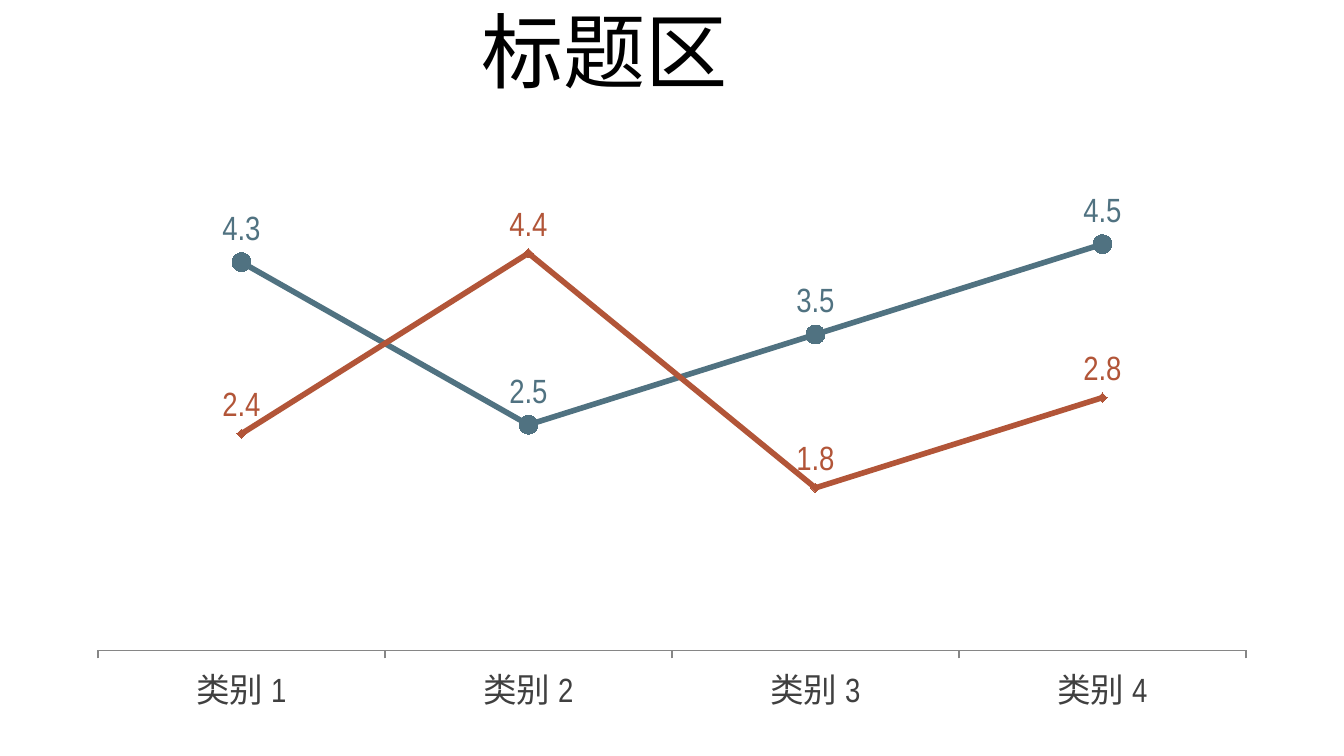
from dataclasses import dataclass

from lxml import etree
from pptx import Presentation
from pptx.chart.data import CategoryChartData
from pptx.dml.color import RGBColor as Rgb
from pptx.enum.chart import XL_CHART_TYPE as Kind
from pptx.enum.chart import XL_LABEL_POSITION as Pos
from pptx.enum.chart import XL_MARKER_STYLE as Mark
from pptx.enum.chart import XL_TICK_MARK as Tick
from pptx.enum.text import MSO_ANCHOR as Anchor
from pptx.enum.text import PP_ALIGN as Align
from pptx.oxml.ns import qn
from pptx.util import Cm, Pt


@dataclass(frozen=True)
class Theme:
    face: str = "Arial Narrow"
    title: int = 44
    label: int = 18
    black: str = "000000"
    grey: str = "404040"
    axis: str = "868686"
    blue: str = "507281"
    rust: str = "B25538"


class Deck:
    def __init__(self, theme):
        self.theme = theme
        self.prs = Presentation()
        self.prs.slide_width, self.prs.slide_height = Cm(25.4), Cm(14.29)
        self.slide = self.prs.slides.add_slide(self.prs.slide_layouts[6])

    def style(self, font, size, color):
        font.name, font.size = self.theme.face, Pt(size)
        font.color.rgb = Rgb.from_string(color)

    def title(self, text, *box):
        frame = self.slide.shapes.add_textbox(*map(Cm, box)).text_frame
        frame.word_wrap = True
        frame.vertical_anchor = Anchor.MIDDLE
        para = frame.paragraphs[0]
        para.alignment = Align.CENTER
        run = para.add_run()
        run.text = text
        self.style(run.font, self.theme.title, self.theme.black)

    def lines(self, cats, rows, *box):
        data = CategoryChartData()
        data.categories = cats
        for name, vals, *_ in rows:
            data.add_series(name, vals)
        chart = self.slide.shapes.add_chart(
            Kind.LINE_MARKERS, *map(Cm, box), data).chart
        chart.has_legend = chart.has_title = False
        self.style(chart.font, self.theme.label, self.theme.grey)
        self.axes(chart)
        self.inset(chart, x=0.02, y=0.02, w=0.96, h=0.84)
        for series, (_, _, color, mark, size) in zip(chart.series, rows):
            self.series(series, color, mark, size)

    def axes(self, chart):
        vert, base = chart.value_axis, chart.category_axis
        vert.visible = vert.has_major_gridlines = False
        vert.minimum_scale, vert.maximum_scale = 0, 5
        base.major_tick_mark = Tick.OUTSIDE
        base.format.line.width = Pt(0.75)
        base.format.line.color.rgb = Rgb.from_string(self.theme.axis)

    def inset(self, chart, **sides):
        # Fixed inner plot area, as fractions of the chart
        plot = chart.plots[0]._element.getparent()
        for old in plot.findall(qn("c:layout")):
            plot.remove(old)
        layout = etree.Element(qn("c:layout"))
        plot.insert(0, layout)
        manual = etree.SubElement(layout, qn("c:manualLayout"))
        parts = {"layoutTarget": "inner", "xMode": "edge", "yMode": "edge"}
        for tag, val in {**parts, **sides}.items():
            etree.SubElement(manual, qn(f"c:{tag}")).set("val", str(val))

    def series(self, series, color, mark, size):
        tint = Rgb.from_string(color)
        series.smooth = False
        series.format.line.width = Pt(3)
        series.format.line.color.rgb = tint
        dot = series.marker
        dot.style, dot.size = mark, size
        dot.format.fill.solid()
        dot.format.fill.fore_color.rgb = tint
        dot.format.line.color.rgb = tint
        labels = series.data_labels
        labels.show_value = True
        labels.position = Pos.ABOVE
        self.style(labels.font, self.theme.label, color)


def main():
    theme = Theme()
    deck = Deck(theme)

    # Title
    deck.title("标题区", 0, -0.25, 22.86, 2.39)

    # Line chart
    cats = [f"类别 {n}" for n in range(1, 5)]
    rows = [
        ("Series 1", (4.3, 2.5, 3.5, 4.5), theme.blue, Mark.CIRCLE, 10),
        ("Series 2", (2.4, 4.4, 1.8, 2.8), theme.rust, Mark.DIAMOND, 5),
    ]
    deck.lines(cats, rows, 1.4, 3.56, 22.6, 10.16)

    deck.prs.save("out.pptx")


if __name__ == "__main__":
    main()
